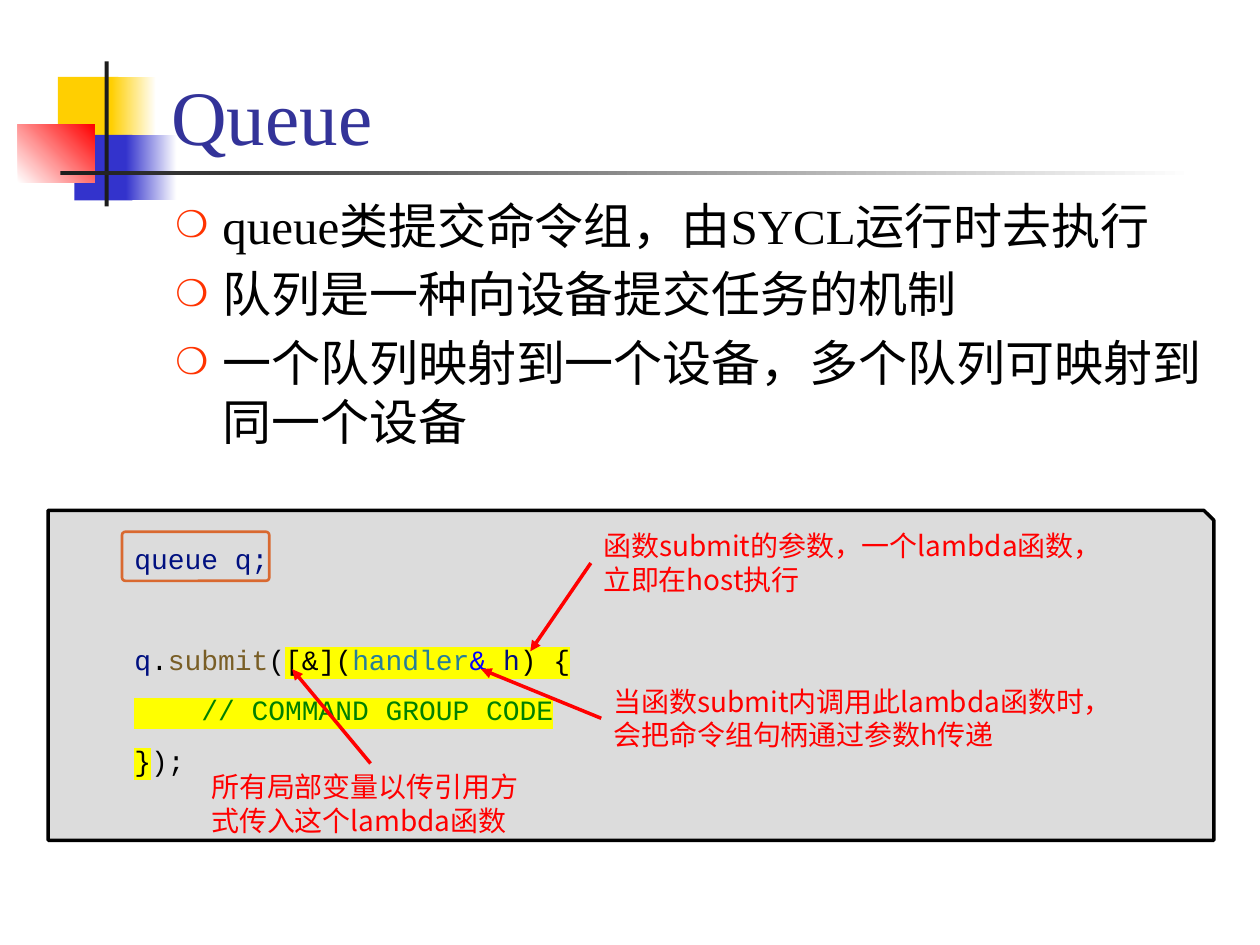
"""Build the Queue slide: three bullets above an annotated code panel."""
from lxml import etree
from pptx import Presentation
from pptx import util as u
from pptx.dml import color
from pptx.enum import shapes, text
from pptx.oxml import ns

RGB = color.RGBColor
YELLOW, BLUE, RED = RGB(255, 207, 1), RGB(51, 51, 204), RGB(255, 0, 0)
WHITE, BLACK, DARK = RGB(255, 255, 255), RGB(0, 0, 0), RGB(28, 28, 28)
TITLE, BULLET, PANEL = RGB(51, 51, 153), "FF3300", RGB(220, 220, 220)
FRAME, HIGHLIGHT = RGB(217, 105, 48), "FFFF00"
NAVY, BROWN, TEAL = RGB(0, 16, 128), RGB(121, 94, 38), RGB(38, 127, 153)
GREEN, AMPERSAND = RGB(0, 128, 0), RGB(0, 0, 255)
SERIF, MONO, CJK = "Times New Roman", "Courier New", "Noto Sans CJK SC"
CODE_LINE = u.Pt(28.8)

DECORATION = [
    ((1.17, 1.55, 1.22, 1.32), (YELLOW,), 0),
    ((2.24, 1.55, 0.91, 1.32), (YELLOW, WHITE), 0),
    ((1.5, 2.72, 1.17, 1.32), (BLUE,), 0),
    ((2.54, 2.72, 1.02, 1.32), (BLUE, WHITE), 0),
    ((0.36, 2.51, 1.55, 1.17), (WHITE, RED), 45),
    ((2.11, 1.24, 0.08, 2.92), (DARK,), 0),
    ((1.22, 3.45, 22.86, 0.08), (DARK, WHITE), 0),
]
BULLETS = [
    ["queue类", "提交命令组", "，由SYCL运行时去执行"],
    ["队列是一种向设备提交任务的机制"],
    ["一个队列映射到一个设备，多个队列可映射到同一个设备"],
]
CODE = [
    (0, [("queue q;", NAVY, False)]),
    (CODE_LINE, [
        ("q", NAVY, False), (".", BLACK, False), ("submit", BROWN, False),
        ("(", BLACK, False), ("[&](", BLACK, True), ("handler", TEAL, True),
        ("&", AMPERSAND, True), (" ", BLACK, True), ("h", NAVY, True),
        (") {", BLACK, True)]),
    (0, [("    // COMMAND GROUP CODE", GREEN, True)]),
    (0, [("}", BLACK, True), (");", BLACK, False)]),
]
NOTES = [
    ("函数submit的参数，一个lambda函数，立即在host执行",
     (11.91, 10.54, 10.8, 1.63), (11.91, 11.35, 10.69, 13.13)),
    ("所有局部变量以传引用方式传入这个lambda函数",
     (4.01, 15.39, 6.91, 1.63), (7.47, 15.39, 5.89, 13.49)),
    ("当函数submit内调用此lambda函数时，会把命令组句柄通过参数h传递",
     (12.12, 13.67, 10.8, 1.63), (12.12, 14.48, 9.7, 13.49)),
]


def lengths(values):
    return [u.Cm(value) for value in values]


def child(parent, tag, **attributes):
    return etree.SubElement(parent, ns.qn(tag), attributes)


class SlideBuilder:
    """Draw styled elements on the current slide."""

    def __init__(self, slide):
        self.slide = slide

    def run(self, paragraph, words, size, font, ink, highlighted=False):
        run = paragraph.add_run()
        run.text = words
        run.font.size, run.font.name = u.Pt(size), font
        run.font.color.rgb = ink
        properties = run.font._element
        latin = properties.find(ns.qn("a:latin"))
        latin.addnext(latin.makeelement(ns.qn("a:ea"), {"typeface": CJK}))
        if highlighted:
            mark = latin.makeelement(ns.qn("a:highlight"), {})
            child(mark, "a:srgbClr", val=HIGHLIGHT)
            properties.find(ns.qn("a:solidFill")).addnext(mark)

    def shape(self, kind, box, fills=(), angle=0, line=None, width=0, corner=None):
        shape = self.slide.shapes.add_shape(kind, *lengths(box))
        shape.shadow.inherit = False
        if corner is not None:
            shape.adjustments[0] = corner
        if len(fills) == 2:
            shape.fill.gradient()
            shape.fill.gradient_angle = angle
            for stop, ink, place in zip(shape.fill.gradient_stops, fills, (0, 1)):
                stop.color.rgb, stop.position = ink, place
        elif fills:
            shape.fill.solid()
            shape.fill.fore_color.rgb = fills[0]
        else:
            shape.fill.background()
        if line is None:
            shape.line.fill.background()
        else:
            shape.line.color.rgb, shape.line.width = line, u.Pt(width)

    def placeholder(self, index, box):
        shape = self.slide.placeholders[index]
        shape.left, shape.top, shape.width, shape.height = lengths(box)
        shape.element.getparent().append(shape.element)
        frame = shape.text_frame
        frame.word_wrap, frame.auto_size = True, text.MSO_AUTO_SIZE.NONE
        return frame

    def title(self, words, box):
        frame = self.placeholder(0, box)
        frame.vertical_anchor = text.MSO_ANCHOR.BOTTOM
        paragraph = frame.paragraphs[0]
        paragraph.alignment = text.PP_ALIGN.LEFT
        self.run(paragraph, words, 44, SERIF, TITLE)

    def bullets(self, items, box):
        frame = self.placeholder(1, box)
        frame.vertical_anchor = text.MSO_ANCHOR.TOP
        for index, pieces in enumerate(items):
            paragraph = frame.add_paragraph() if index else frame.paragraphs[0]
            properties = paragraph._p.get_or_add_pPr()
            indent = u.Cm(0.95)
            properties.set("marL", str(indent))
            properties.set("indent", str(-indent))
            child(child(properties, "a:buClr"), "a:srgbClr", val=BULLET)
            child(properties, "a:buSzPct", val="75000")
            child(properties, "a:buChar", char="❍")
            paragraph.space_before = u.Pt(5.6 if index else 0)
            for words in pieces:
                self.run(paragraph, words, 28, SERIF, BLACK)

    def text_box(self, box):
        frame = self.slide.shapes.add_textbox(*lengths(box)).text_frame
        frame.word_wrap = True
        return frame

    def code(self, lines, box):
        frame = self.text_box(box)
        for index, (gap, pieces) in enumerate(lines):
            paragraph = frame.add_paragraph() if index else frame.paragraphs[0]
            paragraph.line_spacing, paragraph.space_before = 1.5, gap
            for words, ink, highlighted in pieces:
                self.run(paragraph, words, 16, MONO, ink, highlighted)

    def note(self, words, box):
        self.run(self.text_box(box).paragraphs[0], words, 16, CJK, RED)

    def arrow(self, ends):
        connector = self.slide.shapes.add_connector(
            shapes.MSO_CONNECTOR.STRAIGHT, *lengths(ends))
        connector.line.color.rgb, connector.line.width = RED, u.Pt(2)
        properties = connector.element.spPr
        child(properties.find(ns.qn("a:ln")), "a:tailEnd", type="triangle")
        child(properties, "a:effectLst")


def main():
    presentation = Presentation()
    presentation.slide_width, presentation.slide_height = u.Cm(25.4), u.Cm(19.05)
    builder = SlideBuilder(presentation.slides.add_slide(presentation.slide_layouts[1]))
    kinds = shapes.MSO_SHAPE
    for box, fills, angle in DECORATION:
        builder.shape(kinds.RECTANGLE, box, fills, angle)
    builder.title("Queue", (3.2, 0.2, 21.64, 3.18))
    builder.bullets(BULLETS, (3.28, 3.81, 21.59, 13.13))
    builder.shape(kinds.SNIP_1_RECTANGLE, (0.97, 10.29, 23.5, 6.65), (PANEL,),
                  line=BLACK, width=2, corner=0.03)
    builder.code(CODE, (2.46, 10.46, 19.08, 5.99))
    builder.shape(kinds.ROUNDED_RECTANGLE, (2.46, 10.72, 2.97, 0.99),
                  line=FRAME, width=1.5, corner=0.07)
    for words, box, ends in NOTES:
        builder.note(words, box)
        builder.arrow(ends)
    presentation.save("out.pptx")


if __name__ == "__main__":
    main()
